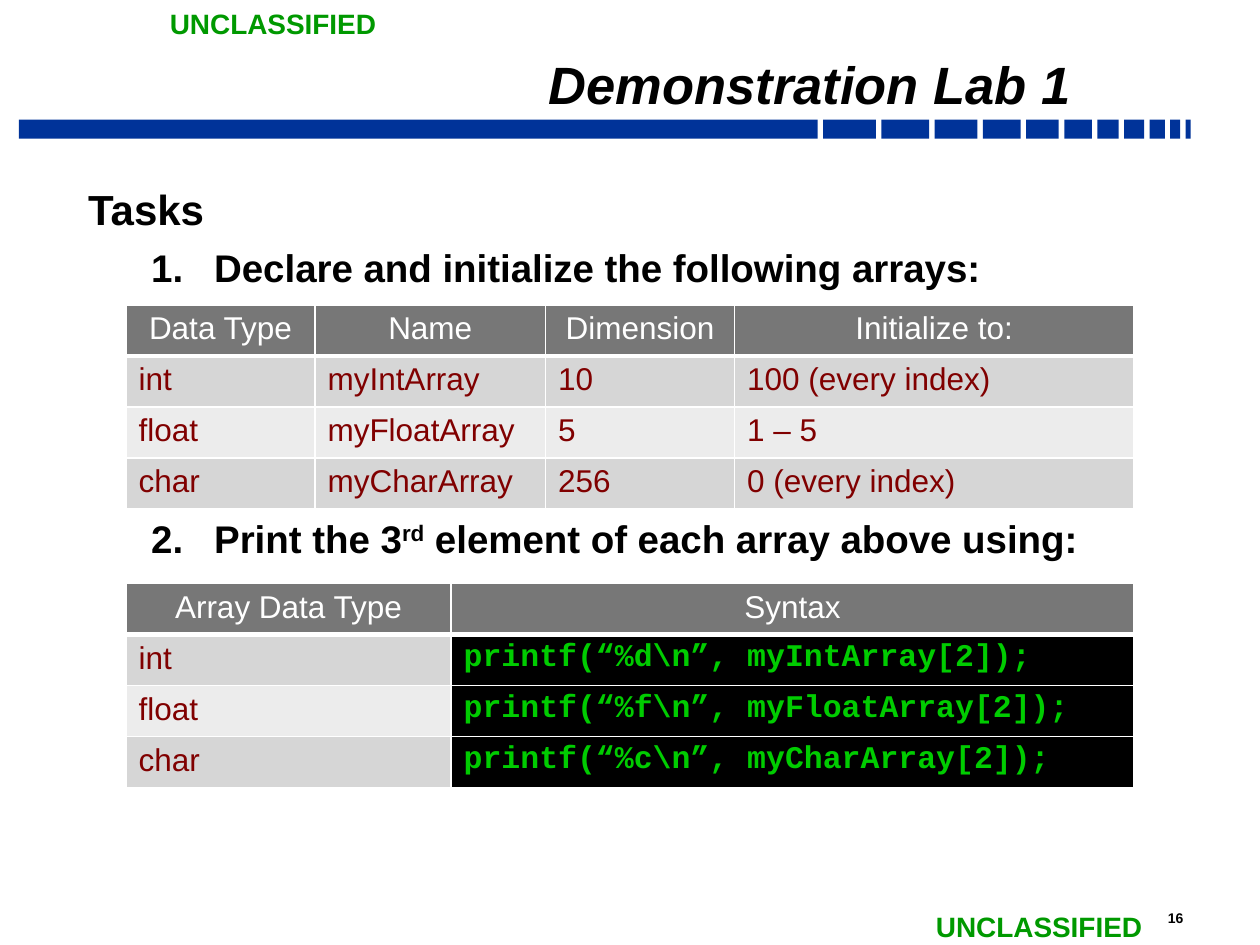
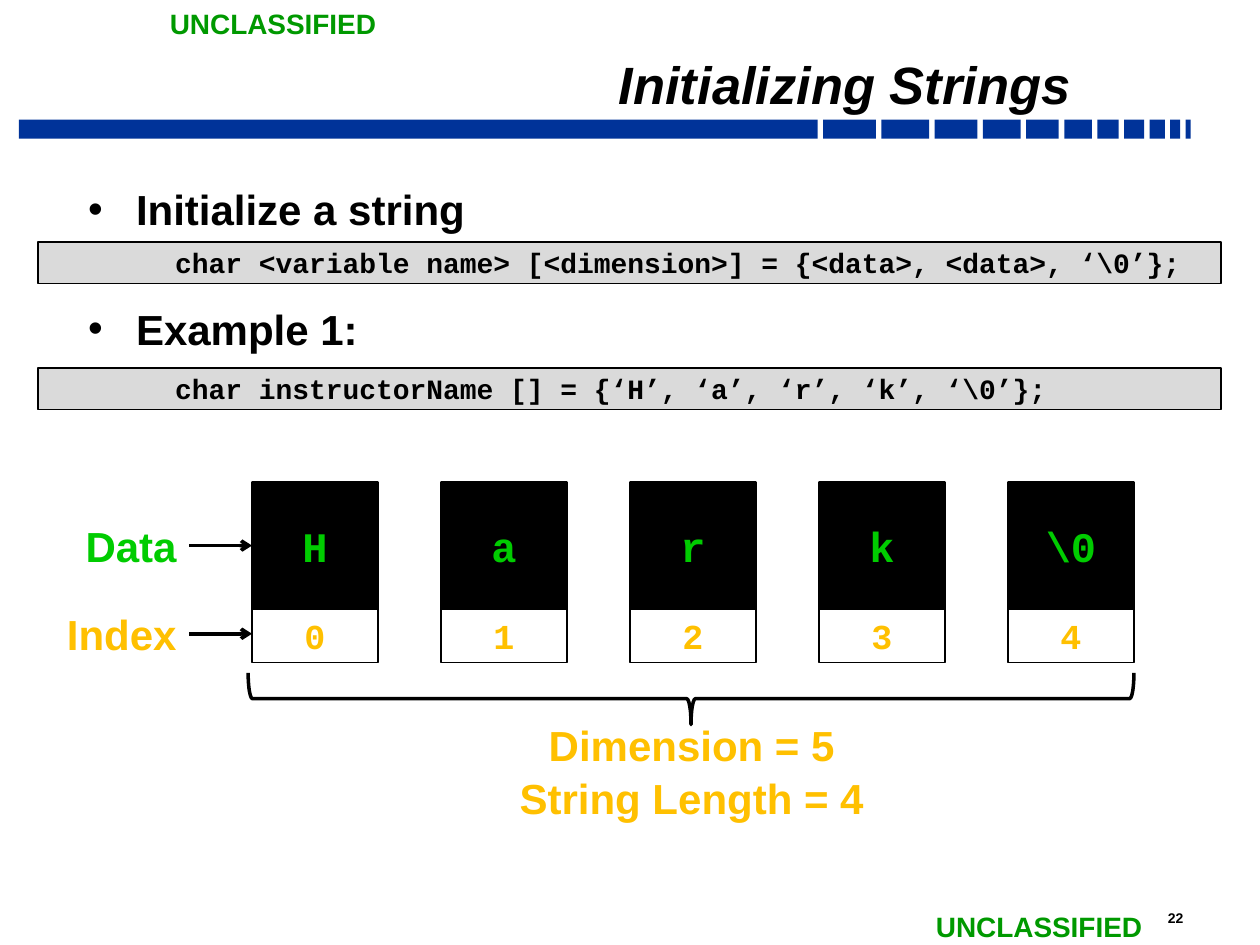
from lxml import etree
from pptx import Presentation
from pptx.dml.color import RGBColor
from pptx.enum.shapes import MSO_CONNECTOR, MSO_SHAPE
from pptx.enum.text import MSO_ANCHOR, MSO_AUTO_SIZE, PP_ALIGN
from pptx.oxml.ns import qn
from pptx.util import Inches, Pt

# Colours
BLACK = RGBColor(0x00, 0x00, 0x00)
WHITE = RGBColor(0xFF, 0xFF, 0xFF)
NAVY = RGBColor(0x00, 0x33, 0x99)
MARKING_GREEN = RGBColor(0x00, 0x99, 0x00)
CODE_GREEN = RGBColor(0x00, 0xCC, 0x00)
AMBER = RGBColor(0xFF, 0xC0, 0x00)
MAROON = RGBColor(0x80, 0x00, 0x00)
HEADER_GREY = RGBColor(0x77, 0x77, 0x77)
ROW_GREYS = (RGBColor(0xD6, 0xD6, 0xD6), RGBColor(0xEC, 0xEC, 0xEC))
PANEL_GREY = RGBColor(0xDA, 0xDA, 0xDA)

# Text formats
SANS, MONO = "Arial", "Courier New"


def text_format(size, color, name=SANS, bold=True, italic=False):
    return {"size": Pt(size), "name": name, "bold": bold, "italic": italic, "color": color}


TITLE = text_format(30, BLACK, italic=True)
HEADING = text_format(24, BLACK)
STEP = text_format(22, BLACK)
MARKING = text_format(16, MARKING_GREEN)
PAGE_NUMBER = text_format(8, BLACK)
CODE = text_format(16, BLACK, MONO)
TABLE_HEAD = text_format(18, WHITE, bold=False)
TABLE_BODY = text_format(18, MAROON, bold=False)
TABLE_CODE = text_format(18, CODE_GREEN, MONO)
DATA_VALUE = text_format(24, CODE_GREEN, MONO)
INDEX_VALUE = text_format(20, AMBER, MONO)
DATA_LABEL = text_format(24, CODE_GREEN)
AMBER_LABEL = text_format(24, AMBER)

DEFAULT_INSETS = (0.1, 0.05)
TIGHT_INSETS = (0.09, 0.04)

# Title band: bars that get shorter to the right
BAND_LEFT, BAND_TOP, BAND_HEIGHT, BAND_SPAN = 0.15, 0.95, 0.15, 9.3
BAR_WIDTHS = (6.34, 0.42, 0.38, 0.34, 0.3, 0.26, 0.22, 0.17, 0.16, 0.12, 0.08, 0.04)


def add_xml(parent, tag, **attributes):
    child = etree.SubElement(parent, qn(tag))
    for key, value in attributes.items():
        child.set(key, str(value))
    return child


def add_solid(parent, color):
    add_xml(add_xml(parent, "a:solidFill"), "a:srgbClr", val=color)


class Deck:
    def __init__(self):
        self.presentation = Presentation()
        self.presentation.slide_width = Inches(10)
        self.presentation.slide_height = Inches(7.5)
        self.slide = None

    def start_slide(self, title, number):
        self.slide = self.presentation.slides.add_slide(self.presentation.slide_layouts[6])
        gap = (BAND_SPAN - sum(BAR_WIDTHS)) / (len(BAR_WIDTHS) - 1)
        left = BAND_LEFT
        for width in BAR_WIDTHS:
            self.box(left, BAND_TOP, width, BAND_HEIGHT, fill=NAVY)
            left += width + gap
        self.label(number, 9.17, 7.17, 0.54, 0.23, PAGE_NUMBER, anchor=MSO_ANCHOR.TOP)
        for left, top in ((1.25, 0), (7.33, 7.17)):
            self.label("UNCLASSIFIED", left, top, 1.86, 0.37, MARKING,
                       anchor=MSO_ANCHOR.TOP, wrap=False)
        heading = self.label(title, 1.67, 0.35, 6.92, 0.59, TITLE, PP_ALIGN.RIGHT,
                             MSO_ANCHOR.BOTTOM, insets=TIGHT_INSETS)
        heading.text_frame.paragraphs[0].line_spacing = 0.7

    def add_run(self, paragraph, text, style, outlined=False):
        run = paragraph.add_run()
        run.text = text
        for key, value in style.items():
            if key == "color":
                run.font.color.rgb = value
            else:
                setattr(run.font, key, value)
        if outlined:
            properties = run._r.get_or_add_rPr()
            outline = add_xml(properties, "a:ln", w=Pt(0.75))
            add_solid(outline, BLACK)
            properties.insert(0, outline)
        return run

    def prepare(self, frame, anchor, insets, wrap=True):
        side, edge = (Inches(inset) for inset in insets)
        settings = {"word_wrap": wrap, "vertical_anchor": anchor, "margin_left": side,
                    "margin_right": side, "margin_top": edge, "margin_bottom": edge}
        for key, value in settings.items():
            setattr(frame, key, value)

    def label(self, text, left, top, width, height, style, align=PP_ALIGN.LEFT,
              anchor=MSO_ANCHOR.MIDDLE, insets=DEFAULT_INSETS, wrap=True, outlined=False):
        shape = self.slide.shapes.add_textbox(
            Inches(left), Inches(top), Inches(width), Inches(height))
        self.prepare(shape.text_frame, anchor, insets, wrap)
        shape.text_frame.auto_size = MSO_AUTO_SIZE.NONE
        paragraph = shape.text_frame.paragraphs[0]
        paragraph.alignment = align
        self.add_run(paragraph, text, style, outlined)
        return shape

    def box(self, left, top, width, height, fill=None, line=None, kind=MSO_SHAPE.RECTANGLE):
        shape = self.slide.shapes.add_shape(
            kind, Inches(left), Inches(top), Inches(width), Inches(height))
        shape.shadow.inherit = False
        if fill is None:
            shape.fill.background()
        else:
            shape.fill.solid()
            shape.fill.fore_color.rgb = fill
        if line is None:
            shape.line.fill.background()
        else:
            shape.line.color.rgb = BLACK
            shape.line.width = Pt(line)
        return shape

    def text_box(self, text, left, top, width, height, style, fill=None, line=None,
                 align=PP_ALIGN.CENTER, insets=DEFAULT_INSETS, outlined=False):
        shape = self.box(left, top, width, height, fill, line)
        self.prepare(shape.text_frame, MSO_ANCHOR.MIDDLE, insets)
        paragraph = shape.text_frame.paragraphs[0]
        paragraph.alignment = align
        self.add_run(paragraph, text, style, outlined)
        return shape

    def code_panel(self, text, top):
        panel = self.text_box(text, 0.3, top, 9.39, 0.33, CODE, PANEL_GREY, 1,
                              PP_ALIGN.LEFT, TIGHT_INSETS)
        paragraph = panel.text_frame.paragraphs[0]
        paragraph.space_before = Pt(3.8)
        paragraph._p.get_or_add_pPr().set("marL", str(Inches(1)))

    def body(self, items):
        """Each item: runs, style, space before, indent, hanging, bullet tag and attributes."""
        shape = self.slide.shapes.add_textbox(
            Inches(0.61), Inches(1.42), Inches(9.07), Inches(5.17))
        frame = shape.text_frame
        self.prepare(frame, MSO_ANCHOR.TOP, TIGHT_INSETS)
        for position, (runs, style, space, indent, hanging, bullet) in enumerate(items):
            paragraph = frame.add_paragraph() if position else frame.paragraphs[0]
            paragraph.space_before = Pt(space)
            for text, baseline in runs:
                run = self.add_run(paragraph, text, style)
                if baseline:
                    run._r.get_or_add_rPr().set("baseline", str(baseline * 1000))
            if bullet:
                tag, attributes = bullet
                properties = paragraph._p.get_or_add_pPr()
                properties.set("marL", str(Inches(indent)))
                properties.set("indent", str(-Inches(hanging)))
                add_xml(add_xml(properties, "a:buClr"), "a:srgbClr", val=BLACK)
                add_xml(properties, "a:buFont", typeface=SANS)
                add_xml(properties, tag, **attributes)

    def cell_borders(self, cell, is_header):
        widths = {"a:lnL": 1, "a:lnR": 1}
        if is_header:
            widths["a:lnT"] = 1
        widths["a:lnB"] = 3 if is_header else 1
        properties = cell._tc.get_or_add_tcPr()
        for tag, width in widths.items():
            add_solid(add_xml(properties, tag, w=Pt(width)), WHITE)

    def table(self, rows, top, widths, code_column=None):
        height = 1.62
        table = self.slide.shapes.add_table(
            len(rows), len(widths), Inches(1), Inches(top),
            Inches(sum(widths)), Inches(height)).table
        for column, width in zip(table.columns, widths):
            column.width = Inches(width)
        for row_number, values in enumerate(rows):
            table.rows[row_number].height = Inches(height / len(rows))
            for column_number, text in enumerate(values):
                cell = table.cell(row_number, column_number)
                paragraph = cell.text_frame.paragraphs[0]
                if row_number == 0:
                    style, fill = TABLE_HEAD, HEADER_GREY
                    paragraph.alignment = PP_ALIGN.CENTER
                elif column_number == code_column:
                    style, fill = TABLE_CODE, BLACK
                else:
                    style, fill = TABLE_BODY, ROW_GREYS[(row_number - 1) % 2]
                self.add_run(paragraph, text, style)
                self.cell_borders(cell, row_number == 0)
                cell.fill.solid()
                cell.fill.fore_color.rgb = fill

    def arrow(self, left, right, y):
        connector = self.slide.shapes.add_connector(
            MSO_CONNECTOR.STRAIGHT, Inches(left), Inches(y), Inches(right), Inches(y))
        connector.line.color.rgb = BLACK
        connector.line.width = Pt(2)
        add_xml(connector.line._get_or_add_ln(), "a:tailEnd", type="arrow")
        add_xml(connector._element.spPr, "a:effectLst")


deck = Deck()

# Slide: lab tasks
deck.start_slide("Demonstration Lab 1", "16")
numbered = ("a:buAutoNum", {"type": "arabicPeriod"})
deck.body([
    ([("Tasks", 0)], HEADING, 5.8, 0, 0, None),
    ([("Declare and initialize the following arrays:", 0)], STEP, 5.3, 1, 0.5, numbered),
    ([("Print the 3", 0), ("rd", 30), (" element of each array above using:", 0)],
     STEP, 128.4, 1, 0.5, numbered),
])
deck.table([
    ("Data Type", "Name", "Dimension", "Initialize to:"),
    ("int", "myIntArray", "10", "100 (every index)"),
    ("float", "myFloatArray", "5", "1 – 5"),
    ("char", "myCharArray", "256", "0 (every index)"),
], 2.42, (1.5, 1.83, 1.5, 3.17))
deck.table([
    ("Array Data Type", "Syntax"),
    ("int", "printf(“%d\\n”, myIntArray[2]);"),
    ("float", "printf(“%f\\n”, myFloatArray[2]);"),
    ("char", "printf(“%c\\n”, myCharArray[2]);"),
], 4.63, (2.58, 5.42), code_column=1)

# Slide: strings as arrays
deck.start_slide("Initializing Strings", "22")
bulleted = ("a:buChar", {"char": "•"})
deck.body([
    ([("Initialize a string", 0)], HEADING, 5.8, 0.38, 0.38, bulleted),
    ([("Example 1:", 0)], HEADING, 39.4, 0.38, 0.38, bulleted),
])
deck.code_panel("char <variable name> [<dimension>] = {<data>, <data>, ‘\\0’};", 1.92)
deck.code_panel("char instructorName [] = {‘H’, ‘a’, ‘r’, ‘k’, ‘\\0’};", 2.92)

# Memory cells with their indexes
for index, character in enumerate(("H", "a", "r", "k", "\\0")):
    cell_left = 2 + 1.5 * index
    deck.text_box(character, cell_left, 3.83, 1, 1, DATA_VALUE, BLACK, 1.5)
    deck.text_box(str(index), cell_left, 4.82, 1, 0.44, INDEX_VALUE, line=0.75, outlined=True)

# Row labels and arrows
for name, label_top, style in (("Data", 4.08, DATA_LABEL), ("Index", 4.78, AMBER_LABEL)):
    deck.label(name, 0, label_top, 1.5, 0.5, style, PP_ALIGN.RIGHT, outlined=True)
    deck.arrow(1.5, 2, label_top + 0.25)

# Brace with the totals
brace = deck.box(5.28, 2.03, 0.41, 7.03, line=2, kind=MSO_SHAPE.LEFT_BRACE)
brace.rotation = 270
for total, left, top, width in (("Dimension = 5", 4.06, 5.66, 2.86),
                                ("String Length = 4", 3.52, 6.08, 3.94)):
    deck.label(total, left, top, width, 0.5, AMBER_LABEL, PP_ALIGN.CENTER, outlined=True)

deck.presentation.save("out.pptx")
